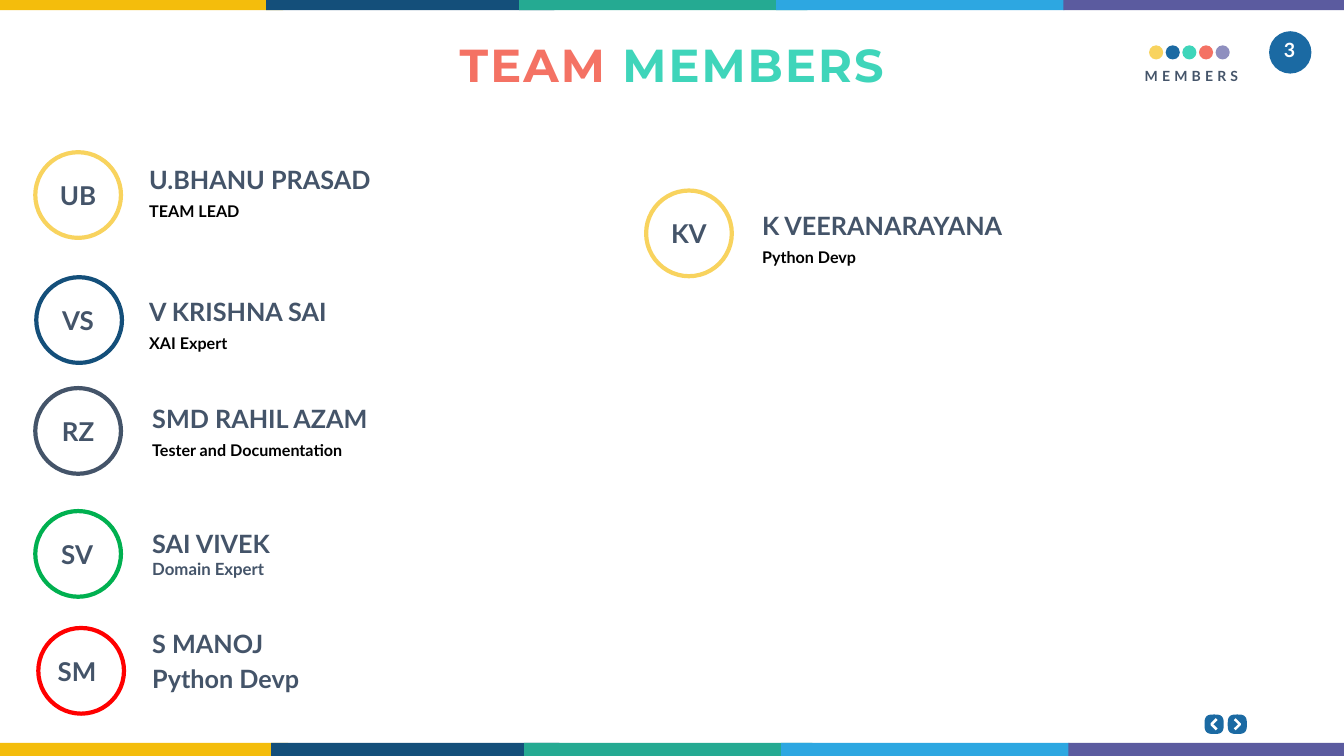
"""Build the team members slide on a grid of 80 columns by 45 rows."""
from dataclasses import dataclass
from math import cos, pi, sin
from typing import Optional

from pptx import Presentation
from pptx.dml.color import RGBColor
from pptx.enum.shapes import MSO_SHAPE
from pptx.enum.text import MSO_AUTO_SIZE, PP_ALIGN
from pptx.util import Inches, Pt

OVAL, RECTANGLE = MSO_SHAPE.OVAL, MSO_SHAPE.RECTANGLE
LEFT, CENTER, JUSTIFY = PP_ALIGN.LEFT, PP_ALIGN.CENTER, PP_ALIGN.JUSTIFY
FIT_SHAPE = MSO_AUTO_SIZE.SHAPE_TO_FIT_TEXT

WHITE = RGBColor(0xFF, 0xFF, 0xFF)
BLACK = RGBColor(0x00, 0x00, 0x00)
SLATE = RGBColor(0x44, 0x54, 0x69)
BLUE = RGBColor(0x1B, 0x6A, 0xA3)
NAVY = RGBColor(0x14, 0x4F, 0x7A)
YELLOW = RGBColor(0xF8, 0xD3, 0x5E)
TURQUOISE = RGBColor(0x3F, 0xD5, 0xBA)
CORAL = RGBColor(0xF4, 0x72, 0x64)
LAVENDER = RGBColor(0x8F, 0x8F, 0xBF)
GREEN = RGBColor(0x00, 0xB0, 0x50)
RED = RGBColor(0xFF, 0x00, 0x00)
GOLD = RGBColor(0xF4, 0xBD, 0x0C)
TEAL = RGBColor(0x25, 0xAA, 0x92)
SKY = RGBColor(0x2D, 0xA7, 0xE1)
PURPLE = RGBColor(0x5B, 0x5B, 0x9F)

COLUMNS, ROWS = 80, 45
SLIDE_WIDTH, SLIDE_HEIGHT = Inches(13.333), Inches(7.5)
BODY_FONT, TITLE_FONT = "Lato", "Montserrat"
MEMBER_INSETS, LABEL_INSETS, DEFAULT_INSETS = (0.13, 0.07), (0.05, 0.03), (0.1, 0.05)
RING_SIZE = 5.1


@dataclass(frozen=True)
class Box:
    """A place on the grid."""
    column: float
    row: float
    width: float
    height: float


@dataclass(frozen=True)
class Line:
    """One paragraph, as coloured pieces in a shared style."""
    pieces: tuple[tuple[str, RGBColor], ...]
    size: float
    font: str = BODY_FONT
    align: PP_ALIGN = LEFT
    tracking: int = 0
    spacing: Optional[float] = None
    before: float = 0


@dataclass(frozen=True)
class RoleStyle:
    """The look of the line under a member's name."""
    size: float
    colour: RGBColor
    align: PP_ALIGN = LEFT
    spacing: Optional[float] = None
    before: float = 0


@dataclass(frozen=True)
class Member:
    """A team member with a ring, initials, name and role."""
    initials: str
    name: str
    role: str
    style: RoleStyle
    colour: RGBColor
    ring: tuple[float, float]
    initials_column: float
    details: Box


@dataclass(frozen=True)
class Bar:
    """One colour of the edge stripes."""
    colour: RGBColor
    column: float
    width: float = 17.16


COMPACT = RoleStyle(11.5, BLACK, JUSTIFY, 18.5)
SMALL = RoleStyle(12, SLATE)
LARGE = RoleStyle(18, SLATE, before=3.6)

MEMBERS = (
    Member("KV", "K VEERANARAYANA", "Python Devp", COMPACT, YELLOW,
           (38.46, 11.34), 38.52, Box(44.58, 12.12, 26.1, 5.64)),
    Member("UB", "U.BHANU PRASAD", "TEAM LEAD", COMPACT, YELLOW,
           (2.1, 9.06), 2.16, Box(8.1, 9.36, 34.8, 4.02)),
    Member("VS", "V KRISHNA SAI", "XAI Expert", COMPACT, NAVY,
           (2.16, 16.5), 2.16, Box(8.1, 17.22, 26.1, 4.02)),
    Member("RZ", "SMD RAHIL AZAM", "Tester and Documentation", COMPACT, SLATE,
           (2.1, 23.1), 2.16, Box(8.28, 23.58, 26.1, 4.02)),
    Member("SV", "SAI VIVEK", "Domain Expert", SMALL, GREEN,
           (2.1, 30.42), 2.1, Box(8.28, 31.02, 26.1, 3.84)),
    Member("SM", "S MANOJ", "Python Devp", LARGE, RED,
           (2.28, 37.38), 2.1, Box(8.28, 36.96, 26.1, 4.8)),
)
BARS = (Bar(GOLD, -0.3), Bar(NAVY, 15.84), Bar(TEAL, 30.9), Bar(SKY, 46.2), Bar(PURPLE, 63.3, 16.8))
STRIPES = ((0, -1.74), (0.3, 44.22))
DOTS = (YELLOW, BLUE, TURQUOISE, CORAL, LAVENDER)
BUTTONS = ((72.27, 1), (73.65, -1))
BUTTON_ROW = 43.11
BUTTON_OUTLINE = ((0.21, -0.25), (-0.05, 0), (0.21, 0.25), (0.1, 0.36),
                  (-0.21, 0.05), (-0.21, -0.05), (0.1, -0.36))


def across(columns: float) -> int:
    """Turn columns into a length."""
    return round(SLIDE_WIDTH * columns / COLUMNS)


def down(rows: float) -> int:
    """Turn rows into a length."""
    return round(SLIDE_HEIGHT * rows / ROWS)


def place(box: Box) -> tuple[int, int, int, int]:
    """Turn a grid box into left, top, width and height."""
    return across(box.column), down(box.row), across(box.width), down(box.height)


def paint(shape, fill: Optional[RGBColor], line: Optional[RGBColor] = None) -> None:
    """Give a shape its fill and outline and take off its shadow."""
    shape.shadow.inherit = False
    if fill is None:
        shape.fill.background()
    else:
        shape.fill.solid()
        shape.fill.fore_color.rgb = fill
    if line is None:
        shape.line.fill.background()
    else:
        shape.line.color.rgb = line
        shape.line.width = Pt(3)


def draw_shape(slide, kind: MSO_SHAPE, box: Box, fill: Optional[RGBColor],
               line: Optional[RGBColor] = None) -> None:
    """Draw a preset shape."""
    paint(slide.shapes.add_shape(kind, *place(box)), fill, line)


def draw_outline(slide, points: list[tuple[float, float]], fill: RGBColor) -> None:
    """Draw a closed outline through grid points."""
    corners = [(across(column), down(row)) for column, row in points]
    builder = slide.shapes.build_freeform(*corners[0], scale=1.0)
    builder.add_line_segments(corners[1:], close=True)
    paint(builder.convert_to_shape(), fill)


def draw_text(slide, box: Box, lines: list[Line], insets: tuple[float, float],
              wrap: bool = True) -> None:
    """Draw a text box of styled paragraphs."""
    frame = slide.shapes.add_textbox(*place(box)).text_frame
    frame.word_wrap = wrap
    frame.auto_size = FIT_SHAPE
    frame.margin_left = frame.margin_right = Inches(insets[0])
    frame.margin_top = frame.margin_bottom = Inches(insets[1])
    for index, line in enumerate(lines):
        paragraph = frame.add_paragraph() if index else frame.paragraphs[0]
        paragraph.alignment = line.align
        if line.spacing:
            paragraph.line_spacing = Pt(line.spacing)
        if line.before:
            paragraph.space_before = Pt(line.before)
        for text, colour in line.pieces:
            run = paragraph.add_run()
            run.text = text
            run.font.size, run.font.name, run.font.bold = Pt(line.size), line.font, True
            run.font.color.rgb = colour
            if line.tracking:
                run._r.get_or_add_rPr().set("spc", str(line.tracking))


def draw_member(slide, member: Member) -> None:
    """Draw a ring with initials beside a name and role."""
    column, row = member.ring
    style = member.style
    draw_shape(slide, OVAL, Box(column, row, RING_SIZE, RING_SIZE), None, member.colour)
    draw_text(slide, member.details, [
        Line(((member.name, SLATE),), 18),
        Line(((member.role, style.colour),), style.size, align=style.align,
             spacing=style.spacing, before=style.before)], MEMBER_INSETS)
    draw_text(slide, Box(member.initials_column, row + 1.2, 4.98, 2.7),
              [Line(((member.initials, SLATE),), 18.5, align=CENTER)], MEMBER_INSETS)


def soft_square(centre: float) -> list[tuple[float, float]]:
    """Trace a square with bowed sides and round corners."""
    def bow(value: float) -> float:
        return (1 if value > 0 else -1) * abs(value) ** 0.65
    angles = [2 * pi * step / 48 for step in range(48)]
    return [(centre + 0.57 * bow(cos(a)), BUTTON_ROW + 0.58 * bow(sin(a))) for a in angles]


def main() -> None:
    """Build and save the slide."""
    deck = Presentation()
    deck.slide_width, deck.slide_height = SLIDE_WIDTH, SLIDE_HEIGHT
    slide = deck.slides.add_slide(deck.slide_layouts[6])
    draw_shape(slide, OVAL, Box(75.54, 1.86, 2.52, 2.52), BLUE)
    draw_text(slide, Box(75.48, 1.98, 2.58, 2.04),
              [Line((("3", WHITE),), 14, align=CENTER)], DEFAULT_INSETS, False)
    for centre, side in BUTTONS:
        draw_outline(slide, soft_square(centre), BLUE)
        draw_outline(slide, [(centre + side * x, BUTTON_ROW + y) for x, y in BUTTON_OUTLINE], WHITE)
    for shift, row in STRIPES:
        for bar in BARS:
            draw_shape(slide, RECTANGLE, Box(bar.column + shift, row, bar.width, 2.34), bar.colour)
    for member in MEMBERS:
        draw_member(slide, member)
    draw_text(slide, Box(67.68, 3.84, 6.48, 1.32),
              [Line((("MEMBERS", SLATE),), 10, align=CENTER, tracking=300)], LABEL_INSETS, False)
    for index, colour in enumerate(DOTS):
        draw_shape(slide, OVAL, Box(68.4 + 0.99 * index, 2.7, 0.84, 0.84), colour)
    title = Line((("TEAM ", CORAL), ("MEMBERS", TURQUOISE)), 33, TITLE_FONT, CENTER, 150)
    draw_text(slide, Box(26.64, 1.86, 26.7, 3.96), [title], DEFAULT_INSETS, False)
    deck.save("out.pptx")


if __name__ == "__main__":
    main()
